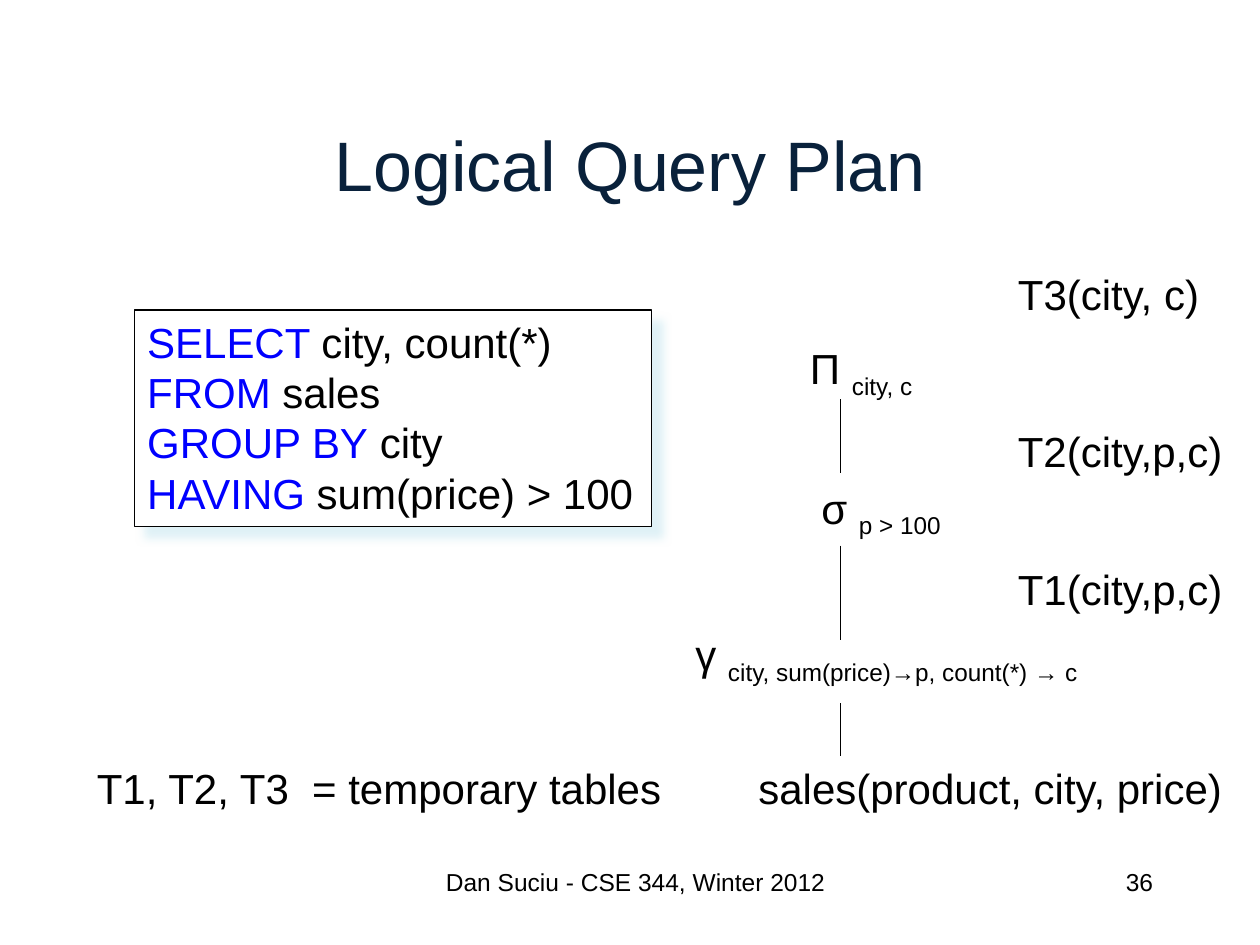
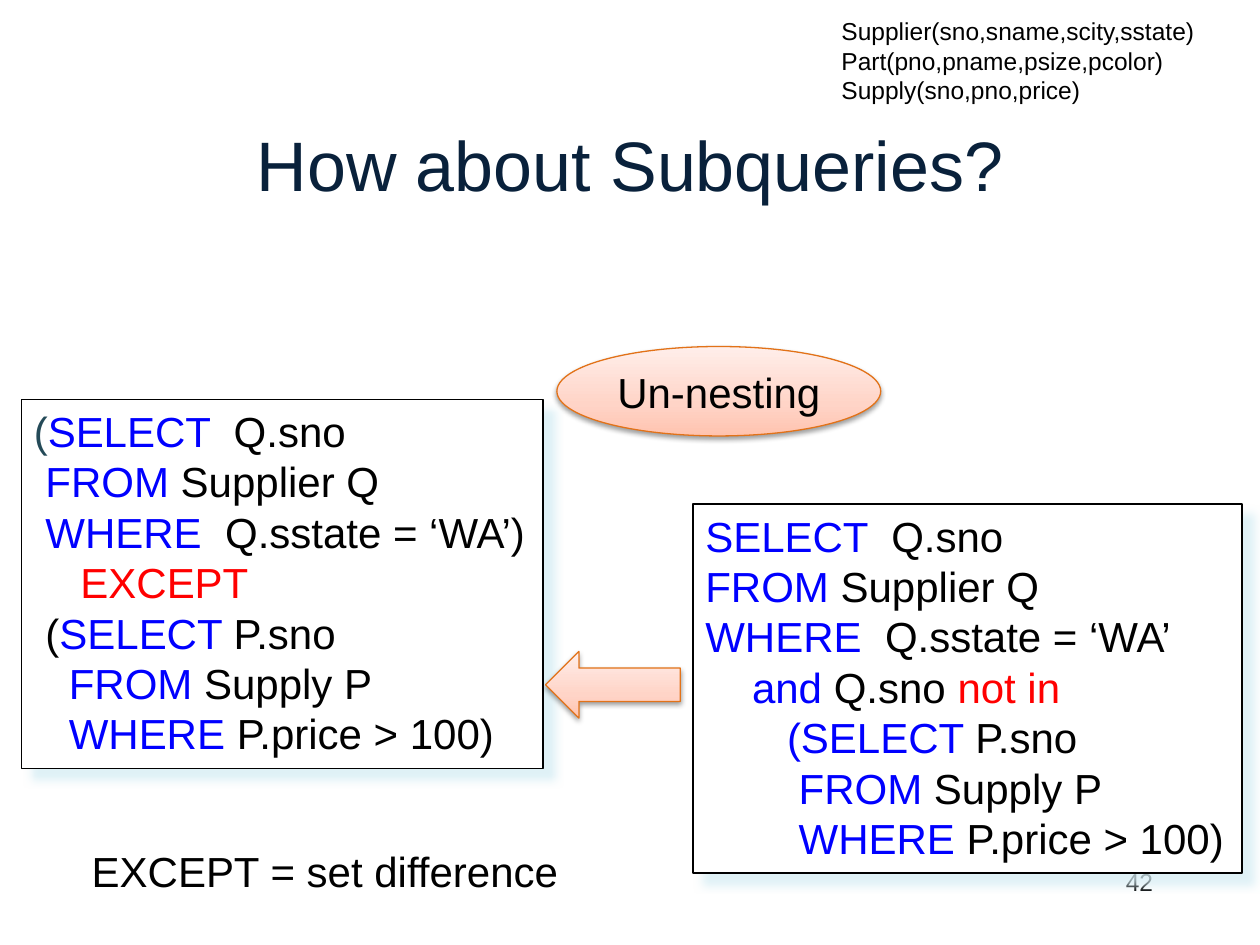
from pptx import Presentation
from pptx.util import Inches, Pt
from pptx.dml.color import RGBColor
from pptx.enum.shapes import MSO_CONNECTOR, MSO_SHAPE
from pptx.enum.text import MSO_ANCHOR, PP_ALIGN
from pptx.oxml import parse_xml
from pptx.oxml.ns import nsdecls

FONT = "Arial"
BLACK, NAVY, WHITE, ORANGE = "000000", "09213B", "FFFFFF", "E27218"
INKS = {"k": BLACK, "b": "0000FF", "r": "FF0000", "t": "244A58", "s": BLACK}
PEACH = [(0, "FFC3AF"), (35, "FFD4C7"), (100, "FFEEEA")]
GLOW = ("D5EDF4", 75, 5, 8.5, 45)
SHADE = (BLACK, 38, 3.1, 1.6, 90)
SPACE = 0.0926


def color(code):
    return RGBColor.from_string(code)


class Deck:
    """Holds the style and the current slide, and draws each kind of element."""

    def __init__(self):
        self.prs = Presentation()
        self.prs.slide_width = Inches(10)
        self.prs.slide_height = Inches(7.5)

    def page(self, title, number):
        self.slide = self.prs.slides.add_slide(self.prs.slide_layouts[6])
        self.text((7.17, 6.83, 2.08, 0.5), [number], 14, PP_ALIGN.RIGHT, wrap=True)
        self.text((0.75, 0.67, 8.5, 1.25), [title], 40, PP_ALIGN.CENTER,
                  NAVY, MSO_ANCHOR.MIDDLE, True)

    def label(self, shape, lines, size, align=PP_ALIGN.LEFT, ink=BLACK,
              anchor=MSO_ANCHOR.TOP, wrap=False):
        frame = shape.text_frame
        frame.word_wrap = wrap
        frame.vertical_anchor = anchor
        for i, line in enumerate(lines):
            para = frame.paragraphs[0] if i == 0 else frame.add_paragraph()
            para.alignment = align
            para.font.name, para.font.size = FONT, Pt(size)
            para.font.color.rgb = color(ink)
            if isinstance(line, str):
                para.add_run().text = line
            else:
                self.mix(para, *line)

    def mix(self, para, indent, marked):
        if indent:
            para._p.get_or_add_pPr().set("marL", str(Inches(indent * SPACE)))
        for part in marked.split("|"):
            run = para.add_run()
            run.text = part[1:]
            run.font.color.rgb = color(INKS[part[0]])
            if part[0] == "s":
                run._r.get_or_add_rPr().set("baseline", "-25000")

    def text(self, box, lines, size=24, *style, **more):
        shape = self.slide.shapes.add_textbox(*map(Inches, box))
        self.label(shape, lines, size, *style, **more)

    def shape(self, kind, box, edge, width, shadow):
        shape = self.slide.shapes.add_shape(kind, *map(Inches, box))
        shape.line.color.rgb = color(edge)
        shape.line.width = Pt(width)
        code, alpha, blur, dist, angle = shadow
        shape._element.spPr.append(parse_xml(
            f'<a:effectLst {nsdecls("a")}><a:outerShdw blurRad="{Pt(blur)}" '
            f'dist="{Pt(dist)}" dir="{angle * 60000}" algn="tl" rotWithShape="0">'
            f'<a:srgbClr val="{code}"><a:alpha val="{alpha * 1000}"/></a:srgbClr>'
            '</a:outerShdw></a:effectLst>'))
        return shape

    def code(self, box, lines, width):
        shape = self.shape(MSO_SHAPE.RECTANGLE, box, BLACK, width, GLOW)
        shape.fill.solid()
        shape.fill.fore_color.rgb = color(WHITE)
        self.label(shape, lines, 24)

    def peach(self, kind, box, words=None):
        shape = self.shape(kind, box, ORANGE, 0.75, SHADE)
        stops = "".join(f'<a:gs pos="{pos * 1000}"><a:srgbClr val="{code}"/></a:gs>'
                        for pos, code in PEACH)
        shape._element.spPr.insert(2, parse_xml(
            f'<a:gradFill {nsdecls("a")} rotWithShape="1"><a:gsLst>{stops}</a:gsLst>'
            '<a:lin ang="16200000" scaled="0"/></a:gradFill>'))
        if words:
            self.label(shape, [words], 24, PP_ALIGN.CENTER, anchor=MSO_ANCHOR.MIDDLE)

    def line(self, x, top, end):
        line = self.slide.shapes.add_connector(
            MSO_CONNECTOR.STRAIGHT, *map(Inches, (x, top, x, end)))
        line.line.color.rgb = color(BLACK)
        line.line.width = Pt(0.75)
        line._element.spPr.append(parse_xml(f'<a:effectLst {nsdecls("a")}/>'))


deck = Deck()

deck.page("Logical Query Plan", "36")
deck.code((1.07, 2.46, 4.1, 1.72), [
    (0, "bSELECT |kcity, count(*)"),
    (0, "bFROM|k sales"),
    (0, "bGROUP BY|k city"),
    (0, "bHAVING |ksum(price) > 100")], 0.75)
deck.text((5.92, 6, 3.92, 0.5), ["sales(product, city, price)"])
deck.text((5.42, 4.94, 3.83, 0.5),
          [(0, "kγ |scity, sum(price)→p, count(*) → c")], wrap=True)
deck.text((6.42, 3.78, 1.24, 0.5), [(0, "kσ |sp > 100")])
deck.text((6.33, 2.67, 1.1, 0.5), [(0, "kΠ |scity, c")])
for top, end in [(5.58, 6), (4.33, 5.08), (3.17, 3.75)]:
    deck.line(6.67, top, end)
for top, width, table in [(4.42, 1.84, "T1(city,p,c)"),
                          (3.33, 1.84, "T2(city,p,c)"),
                          (2.08, 1.65, "T3(city, c)")]:
    deck.text((7.98, top, width, 0.5), [table])
deck.text((0.67, 6, 4.73, 0.5), ["T1, T2, T3  = temporary tables"])
deck.text((3.17, 6.83, 3.75, 0.5), ["Dan Suciu - CSE 344, Winter 2012"], 14,
          PP_ALIGN.CENTER, wrap=True)

deck.page("How about Subqueries?", "42")
deck.peach(MSO_SHAPE.FLOWCHART_CONNECTOR, (4.42, 2.75, 2.57, 0.71), "Un-nesting")
deck.code((5.5, 4, 4.36, 2.93), [
    (0, "bSELECT  |kQ.sno"),
    (0, "bFROM|k Supplier Q"),
    (0, "bWHERE  |kQ.sstate = ‘WA’"),
    (4, "band |kQ.sno |rnot in"),
    (7, "b(SELECT |kP.sno"),
    (8, "bFROM|k Supply P"),
    (8, "bWHERE |kP.price > 100)")], 1)
deck.code((0.17, 3.17, 4.14, 2.93), [
    (0, "t(|bSELECT  |kQ.sno"),
    (1, "bFROM|k Supplier Q"),
    (1, "bWHERE  |kQ.sstate = ‘WA’)"),
    (4, "rEXCEPT"),
    (1, "k(|bSELECT |kP.sno"),
    (3, "bFROM|k Supply P"),
    (3, "bWHERE |kP.price > 100)")], 1)
deck.peach(MSO_SHAPE.LEFT_ARROW, (4.33, 5.17, 1.07, 0.53))
deck.text((6.58, 0.08, 3.02, 0.81), ["Supplier(sno,sname,scity,sstate)",
                                     "Part(pno,pname,psize,pcolor)",
                                     "Supply(sno,pno,price)"], 14)
deck.text((0.63, 6.66, 3.94, 0.5), ["EXCEPT = set difference"])

deck.prs.save("out.pptx")
